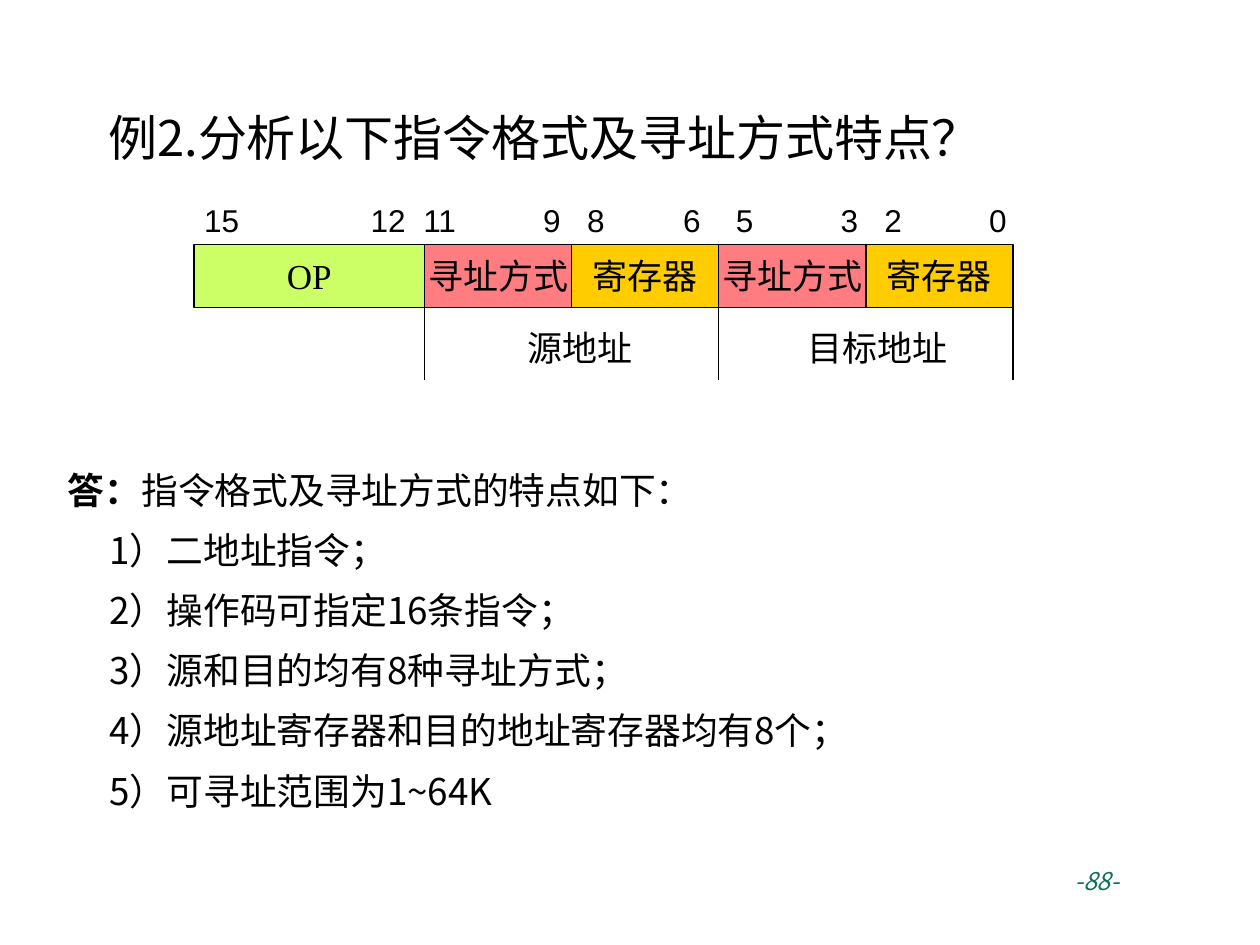
from dataclasses import dataclass
from lxml.etree import SubElement
from pptx import Presentation
from pptx.dml.color import RGBColor
from pptx.enum.shapes import MSO_CONNECTOR, MSO_SHAPE
from pptx.enum.text import MSO_ANCHOR, PP_ALIGN
from pptx.oxml.ns import qn
from pptx.util import Inches, Pt


@dataclass(frozen=True)
class Theme:
    black: RGBColor = RGBColor.from_string("000000")
    page_green: RGBColor = RGBColor.from_string("0D7157")
    opcode: RGBColor = RGBColor.from_string("CCFF66")
    mode: RGBColor = RGBColor.from_string("FF7C80")
    register: RGBColor = RGBColor.from_string("FFCC00")
    chinese: str = "Noto Sans CJK SC"
    title_font: str = "Noto Sans CJK JP"
    field_font: str = "Times New Roman"
    label_font: str = "Arial"
    title_size: int = 28
    answer_size: int = 21
    field_size: int = 20
    bit_size: int = 18
    page_size: int = 14


theme = Theme()


def style(paragraph, size, name, color=theme.black, east_asian=theme.chinese):
    font = paragraph.font
    font.size = Pt(size)
    font.name = name
    font.color.rgb = color
    properties = paragraph._p.pPr.find(qn("a:defRPr"))
    SubElement(properties, qn("a:ea")).set("typeface", east_asian)


def add_text(left, top, width, height, text):
    shape = slide.shapes.add_textbox(Inches(left), Inches(top), Inches(width), Inches(height))
    shape.text_frame.word_wrap = True
    shape.text_frame.text = text
    return shape.text_frame


presentation = Presentation()
presentation.slide_width = Inches(10)
presentation.slide_height = Inches(7.5)
slide = presentation.slides.add_slide(presentation.slide_layouts[5])

title = slide.shapes.title
title.left, title.top = Inches(0.76), Inches(0.8)
title.width, title.height = Inches(8.1), Inches(0.67)
title.text_frame.text = "例2.分析以下指令格式及寻址方式特点？"
title.text_frame.vertical_anchor = MSO_ANCHOR.TOP
paragraph = title.text_frame.paragraphs[0]
paragraph.alignment = PP_ALIGN.LEFT
style(paragraph, theme.title_size, theme.title_font, east_asian=theme.title_font)

field_top, field_height = 1.94, 0.5
field_bottom = field_top + field_height
opcode_left, operand_left, operand_right = 1.54, 3.37, 8.04
operands = [("寻址方式", theme.mode), ("寄存器", theme.register)] * 2
operand_width = (operand_right - operand_left) / len(operands)
fields = [("OP", theme.opcode, opcode_left, operand_left - opcode_left)]
for index, (text, color) in enumerate(operands):
    fields.append((text, color, operand_left + index * operand_width, operand_width))

for text, color, left, width in fields:
    field = slide.shapes.add_shape(
        MSO_SHAPE.RECTANGLE, Inches(left), Inches(field_top), Inches(width), Inches(field_height)
    )
    field.shadow.inherit = False
    field.fill.solid()
    field.fill.fore_color.rgb = color
    field.line.color.rgb = theme.black
    field.line.width = Pt(0.75)
    frame = field.text_frame
    frame.word_wrap = False
    frame.vertical_anchor = MSO_ANCHOR.MIDDLE
    frame.text = text
    paragraph = frame.paragraphs[0]
    paragraph.alignment = PP_ALIGN.CENTER
    style(paragraph, theme.field_size, theme.field_font)

for index in range(3):
    x = Inches(operand_left + index * 2 * operand_width)
    divider = slide.shapes.add_connector(
        MSO_CONNECTOR.STRAIGHT, x, Inches(field_bottom), x, Inches(3.02)
    )
    divider.line.color.rgb = theme.black
    divider.line.width = Pt(0.75)
    SubElement(divider._element.spPr, qn("a:effectLst"))

for text, left in [("源地址", 3.82), ("目标地址", 6.18)]:
    frame = add_text(left, 2.54, 1.57, 0.44, text)
    frame.vertical_anchor = MSO_ANCHOR.MIDDLE
    paragraph = frame.paragraphs[0]
    paragraph.alignment = PP_ALIGN.CENTER
    style(paragraph, theme.field_size, theme.label_font)

bits_left = 1.62
frame = add_text(bits_left, 1.55, 6.5, 0.4, "15\t12\t11\t9\t8\t6\t5\t3\t2\t0")
frame.margin_left = frame.margin_right = 0
paragraph = frame.paragraphs[0]
tab_list = SubElement(paragraph._p.get_or_add_pPr(), qn("a:tabLst"))
bit_edges = [3.22, 3.36, 4.45, 4.66, 5.56, 5.84, 6.81, 7.02, 7.99]
for index, edge in enumerate(bit_edges):
    tab = SubElement(tab_list, qn("a:tab"))
    tab.set("pos", str(Inches(edge - bits_left)))
    tab.set("algn", "l" if index % 2 else "r")
style(paragraph, theme.bit_size, theme.label_font)

features = [
    "1）二地址指令；",
    "2）操作码可指定16条指令；",
    "3）源和目的均有8种寻址方式；",
    "4）源地址寄存器和目的地址寄存器均有8个；",
    "5）可寻址范围为1~64K",
]
frame = add_text(0.37, 3.59, 8.99, 3.23, "")
opening = frame.paragraphs[0]
answer = opening.add_run()
answer.text = "答："
answer.font.bold = True
opening.add_run().text = "指令格式及寻址方式的特点如下："
opening.line_spacing = 1.2
opening._p.get_or_add_pPr().set("marL", str(Inches(0.07)))
style(opening, theme.answer_size, theme.chinese)
for feature in features:
    paragraph = frame.add_paragraph()
    paragraph.text = feature
    paragraph.alignment = PP_ALIGN.JUSTIFY
    paragraph.line_spacing = 1.2
    paragraph.space_before = Pt(4.2)
    paragraph._p.get_or_add_pPr().set("marL", str(Inches(0.4)))
    style(paragraph, theme.answer_size, theme.chinese)

frame = add_text(8.43, 6.82, 1.07, 0.52, "-88-")
paragraph = frame.paragraphs[0]
style(paragraph, theme.page_size, theme.chinese, theme.page_green)
paragraph.font.italic = True

presentation.save("out.pptx")
